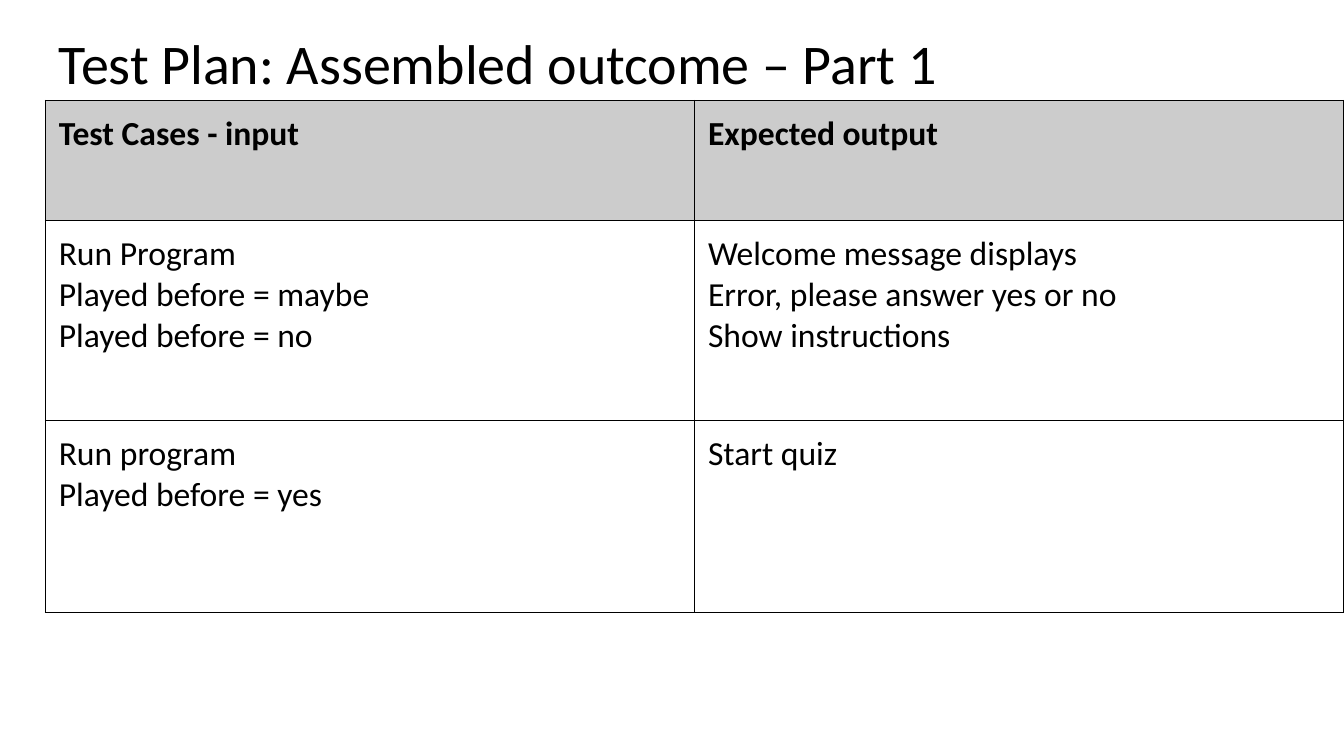
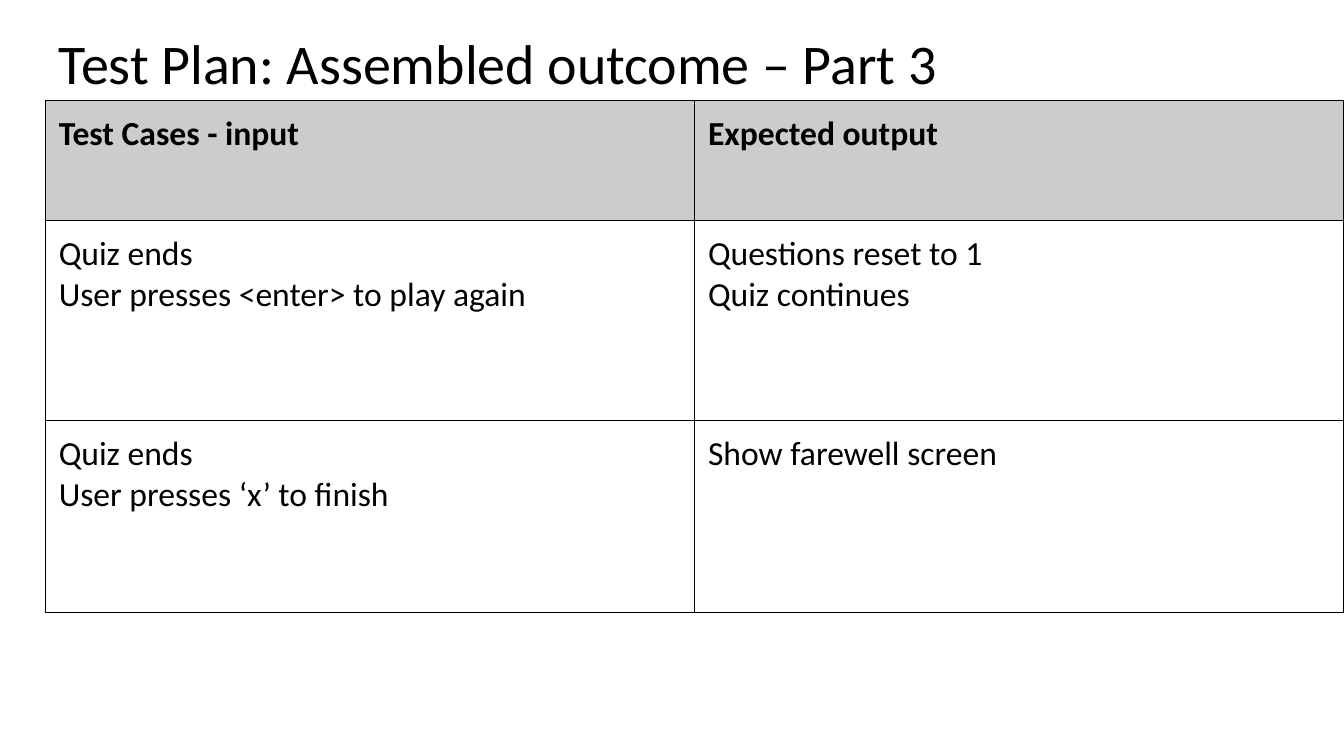
from lxml import etree
from pptx import Presentation
from pptx.dml.color import RGBColor
from pptx.enum.text import MSO_ANCHOR, PP_ALIGN
from pptx.oxml.ns import qn
from pptx.util import Pt

LEFT = PP_ALIGN.LEFT
TOP = MSO_ANCHOR.TOP
MIDDLE = MSO_ANCHOR.MIDDLE

COLORS = {"text": "000000", "border": "000000", "header": "CCCCCC"}
FONT = "Calibri"
TITLE_SIZE = 40
CELL_SIZE = 24
INSET = 9.6
BORDER_WIDTH = 0.75

SLIDE_WIDTH, SLIDE_HEIGHT = 960, 540
MARGIN = 32.4
TITLE_BOX = (MARGIN, 17.2, 894.4, 60.6)
PLAN_BOX = (MARGIN, 71.7, SLIDE_WIDTH - MARGIN, 365.7)
ROW_HEIGHTS = (85.7, 143, 137)
TITLE_ONLY = 5

HEADINGS = (["Test Cases - input"], ["Expected output"])
TEST_PLANS = [
    ("Test Plan: Assembled outcome – Part 1", [
        (["Run Program", "Played before = maybe", "Played before = no"],
         ["Welcome message displays", "Error, please answer yes or no",
          "Show instructions"]),
        (["Run program", "Played before = yes"], ["Start quiz"]),
    ]),
    ("Test Plan: Assembled outcome – Part 3", [
        (["Quiz ends", "User presses <enter> to play again"],
         ["Questions reset to 1", "Quiz continues"]),
        (["Quiz ends", "User presses ‘x’ to finish"],
         ["Show farewell screen"]),
    ]),
]


def style_paragraph(paragraph, size, bold=False):
    paragraph.alignment = LEFT
    font = paragraph.font
    font.name = FONT
    font.size = Pt(size)
    font.bold = bold
    font.color.rgb = RGBColor.from_string(COLORS["text"])


def set_insets(holder):
    holder.margin_left = holder.margin_right = Pt(INSET)
    holder.margin_top = holder.margin_bottom = Pt(INSET)


def add_borders(cell):
    properties = cell._tc.get_or_add_tcPr()
    for side in ("a:lnL", "a:lnR", "a:lnT", "a:lnB"):
        line = etree.SubElement(properties, qn(side), w=str(Pt(BORDER_WIDTH)))
        fill = etree.SubElement(line, qn("a:solidFill"))
        etree.SubElement(fill, qn("a:srgbClr"), val=COLORS["border"])


def fill_cell(cell, lines, is_header):
    add_borders(cell)
    if is_header:
        cell.fill.solid()
        cell.fill.fore_color.rgb = RGBColor.from_string(COLORS["header"])
    else:
        cell.fill.background()
    set_insets(cell)
    cell.vertical_anchor = TOP
    cell.text = "\n".join(lines)
    for paragraph in cell.text_frame.paragraphs:
        style_paragraph(paragraph, CELL_SIZE, is_header)


def place_title(slide, text, box):
    title = slide.shapes.title
    title.left, title.top, title.width, title.height = map(Pt, box)
    frame = title.text_frame
    frame.text = text
    frame.word_wrap = True
    frame.vertical_anchor = MIDDLE
    set_insets(frame)
    heading = frame.paragraphs[0]
    style_paragraph(heading, TITLE_SIZE)
    heading.line_spacing = 0.9


def add_plan_table(slide, cases, box):
    rows = [HEADINGS, *cases]
    plan = slide.shapes.add_table(len(rows), len(HEADINGS), *map(Pt, box)).table
    plan.horz_banding = False
    for row, height in zip(plan.rows, ROW_HEIGHTS):
        row.height = Pt(height)
    for row_index, row_texts in enumerate(rows):
        for column_index, lines in enumerate(row_texts):
            fill_cell(plan.cell(row_index, column_index), lines, row_index == 0)


def add_test_plan_slide(deck, title, cases):
    slide = deck.slides.add_slide(deck.slide_layouts[TITLE_ONLY])
    place_title(slide, title, TITLE_BOX)
    add_plan_table(slide, cases, PLAN_BOX)


def main():
    deck = Presentation()
    deck.slide_width, deck.slide_height = Pt(SLIDE_WIDTH), Pt(SLIDE_HEIGHT)
    for title, cases in TEST_PLANS:
        add_test_plan_slide(deck, title, cases)
    deck.save("out.pptx")


if __name__ == "__main__":
    main()
